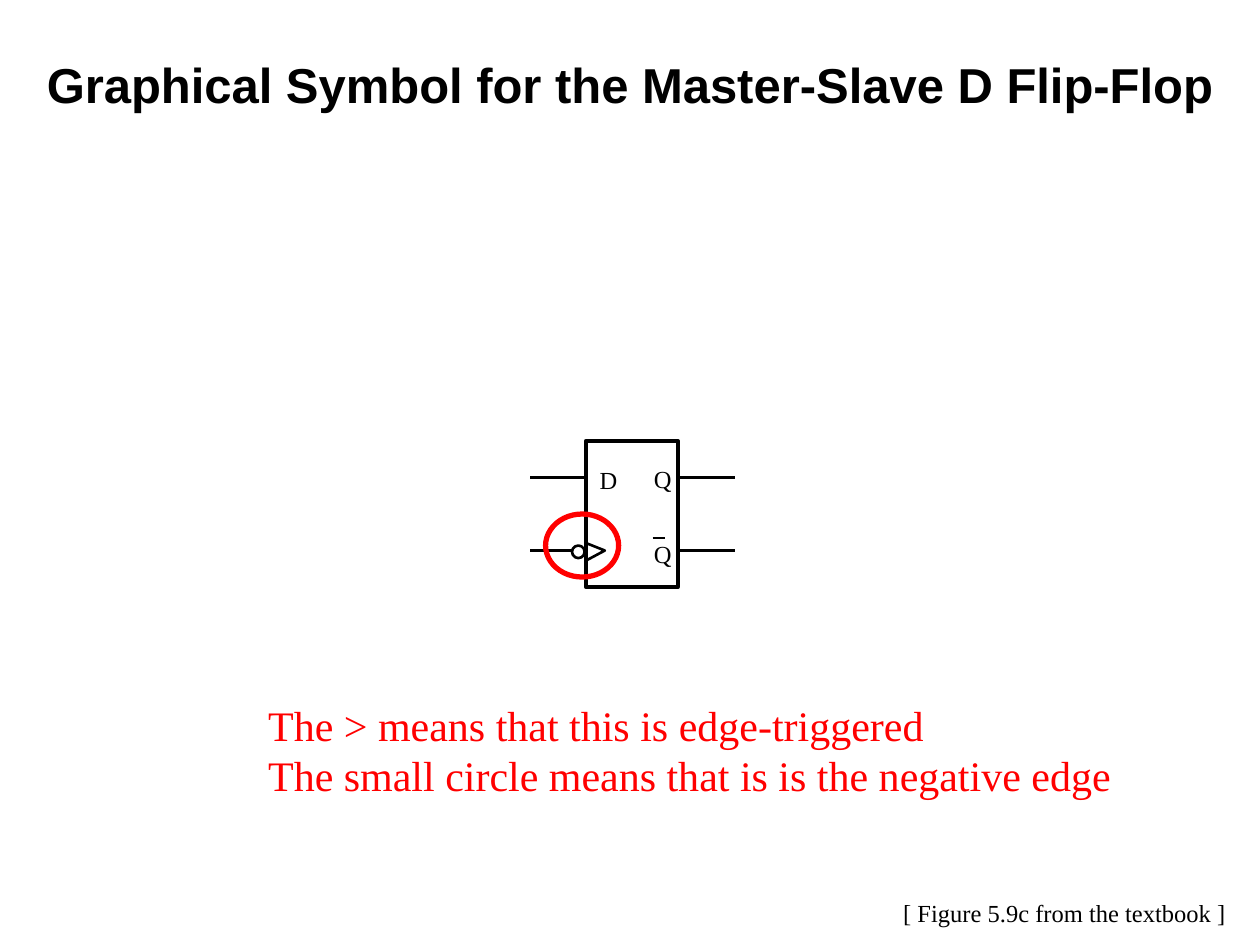
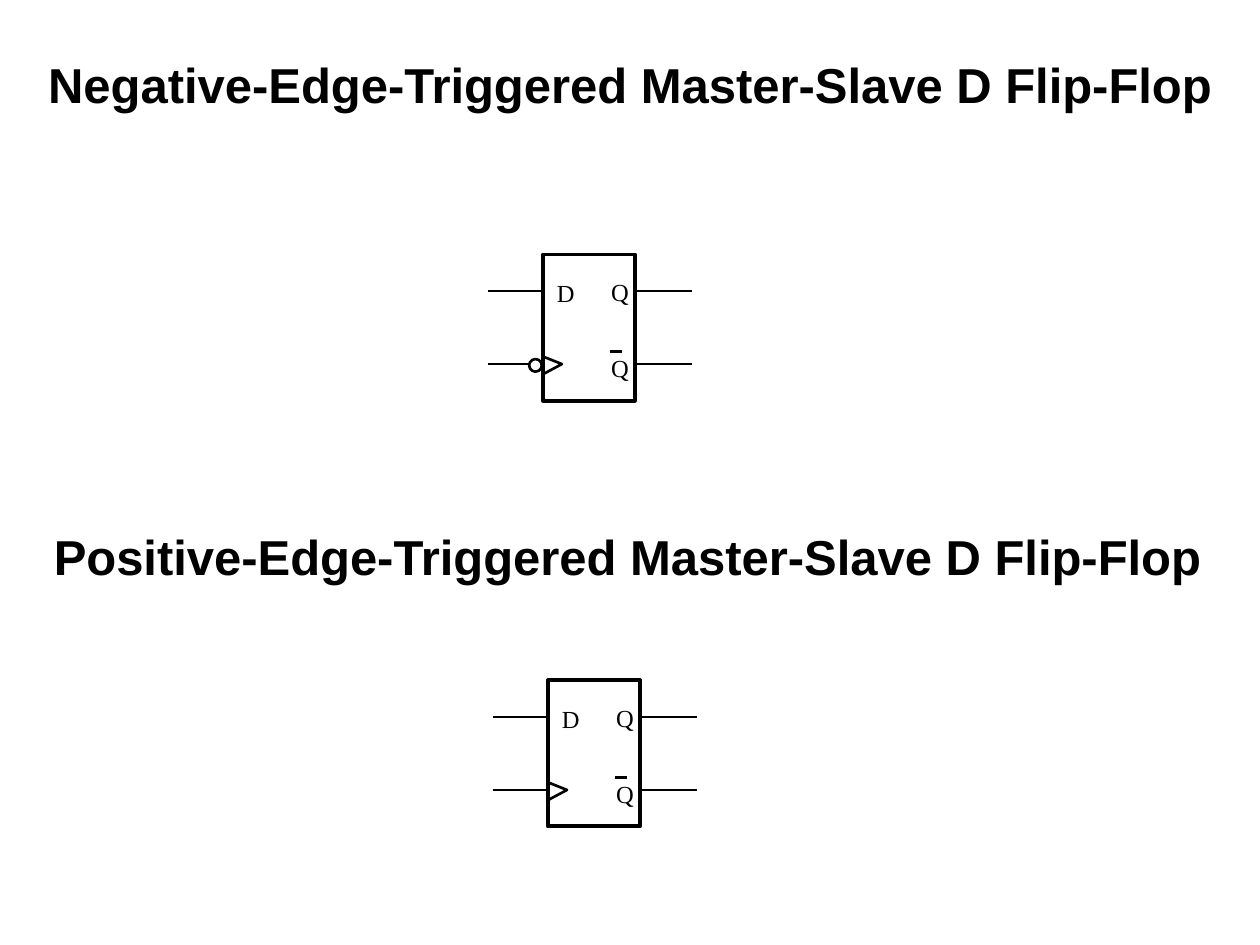
from dataclasses import dataclass

from lxml import etree
from pptx import Presentation
from pptx.dml.color import RGBColor
from pptx.enum.shapes import MSO_CONNECTOR, MSO_SHAPE
from pptx.enum.text import MSO_ANCHOR, PP_ALIGN
from pptx.oxml.ns import qn
from pptx.util import Inches, Pt

STRAIGHT = MSO_CONNECTOR.STRAIGHT
RECT = MSO_SHAPE.RECTANGLE
OVAL = MSO_SHAPE.OVAL
MIDDLE = MSO_ANCHOR.MIDDLE
TOP = MSO_ANCHOR.TOP
CENTER = PP_ALIGN.CENTER
LEFT = PP_ALIGN.LEFT


@dataclass(frozen=True)
class Theme:
    ink: RGBColor = RGBColor(0, 0, 0)
    paper: RGBColor = RGBColor(255, 255, 255)
    accent: RGBColor = RGBColor(255, 0, 0)
    title_font: str = "Arial"
    body_font: str = "Times New Roman"
    title_size: float = 28
    note_size: float = 24
    label_size: float = 14
    body_line: float = 2.25
    wire_line: float = 1.5
    bar_line: float = 1.39
    ring_line: float = 3


THEME = Theme()
BODY_W, BODY_H = 0.73, 1.16
LEAD_IN, LEAD_OUT = 0.44, 0.45
DATA_Y, CLOCK_Y = 0.29, 0.87


def add_text(slide, lines, x, y, w, h, size, color=THEME.ink, font=THEME.body_font,
             margins=(0.1, 0.05), bold=False, wrap=False, align=LEFT, anchor=TOP):
    tf = slide.shapes.add_textbox(Inches(x), Inches(y), Inches(w), Inches(h)).text_frame
    tf.word_wrap = wrap
    tf.vertical_anchor = anchor
    tf.margin_left = tf.margin_right = Inches(margins[0])
    tf.margin_top = tf.margin_bottom = Inches(margins[1])
    tf.text = "\n".join(lines)
    for p in tf.paragraphs:
        p.alignment = align
        p.font.name = font
        p.font.size = Pt(size)
        p.font.bold = bold
        p.font.color.rgb = color


def add_title(slide, text, x=0, y=0.33):
    add_text(slide, [text], x, y, 10, 0.67, THEME.title_size, font=THEME.title_font,
             bold=True, wrap=True, align=CENTER, anchor=MIDDLE)


def add_label(slide, text, x, y):
    add_text(slide, [text], x, y, 0.2, 0.23, THEME.label_size, margins=(0, 0))


def set_line(sp, width, color=THEME.ink):
    sp.line.color.rgb = color
    sp.line.width = Pt(width)


def add_outline(slide, shape, x, y, w, h, width, color=THEME.ink, fill=None):
    sp = slide.shapes.add_shape(shape, Inches(x), Inches(y), Inches(w), Inches(h))
    sp.shadow.inherit = False
    if fill is None:
        sp.fill.background()
    else:
        sp.fill.solid()
        sp.fill.fore_color.rgb = fill
    set_line(sp, width, color)


def add_wire(slide, x1, x2, y, width=THEME.wire_line):
    """Draw a horizontal line from x1 to x2."""
    wire = slide.shapes.add_connector(STRAIGHT, Inches(x1), Inches(y), Inches(x2), Inches(y))
    set_line(wire, width)
    etree.SubElement(wire._element.spPr, qn("a:effectLst"))


def add_clock_mark(slide, x, y):
    """Draw the open > that marks an edge-triggered input."""
    builder = slide.shapes.build_freeform(Inches(x), Inches(y + 0.08))
    builder.add_line_segments([(Inches(x + 0.15), Inches(y)),
                               (Inches(x), Inches(y - 0.06))], close=False)
    sp = builder.convert_to_shape()
    sp.shadow.inherit = False
    sp.fill.background()
    set_line(sp, THEME.wire_line)


def add_flip_flop(slide, x, y, negative_edge):
    """Draw a D flip-flop whose body has its top left corner at (x, y)."""
    right, data_y, clock_y = x + BODY_W, y + DATA_Y, y + CLOCK_Y
    add_outline(slide, RECT, x, y, BODY_W, BODY_H, THEME.body_line, fill=THEME.paper)
    add_label(slide, "D", x + 0.11, y + 0.19)
    add_label(slide, "Q", x + 0.54, y + 0.18)
    add_label(slide, "Q", x + 0.54, y + 0.78)
    add_wire(slide, x + 0.53, x + 0.63, y + 0.77, THEME.bar_line)
    add_clock_mark(slide, x, clock_y)
    clock_end = x
    if negative_edge:
        clock_end = x - 0.11
        add_outline(slide, OVAL, clock_end, clock_y - 0.04, 0.1, 0.1, THEME.wire_line)
    add_wire(slide, x - LEAD_IN, clock_end, clock_y)
    add_wire(slide, x - LEAD_IN, x, data_y)
    for out_y in (data_y, clock_y):
        add_wire(slide, right, right + LEAD_OUT, out_y)


def build_symbol_slide(slide):
    add_flip_flop(slide, 4.65, 3.5, negative_edge=True)
    add_text(slide, ["[ Figure 5.9c from the textbook ]"], 7.07, 7.08, 2.76, 0.34,
             THEME.label_size)
    add_title(slide, "Graphical Symbol for the Master-Slave D Flip-Flop")
    add_outline(slide, OVAL, 4.33, 4.08, 0.58, 0.5, THEME.ring_line, THEME.accent)
    add_text(slide, ["The > means that this is edge-triggered",
                     "The small circle means that is is the negative edge"],
             2.03, 5.5, 6.89, 0.9, THEME.note_size, THEME.accent)


def build_comparison_slide(slide):
    add_title(slide, "Negative-Edge-Triggered Master-Slave D Flip-Flop")
    add_title(slide, "Positive-Edge-Triggered Master-Slave D Flip-Flop", -0.02, 4.08)
    add_flip_flop(slide, 4.31, 2.02, negative_edge=True)
    add_flip_flop(slide, 4.35, 5.4, negative_edge=False)


def main():
    prs = Presentation()
    prs.slide_width, prs.slide_height = Inches(10), Inches(7.5)
    blank = prs.slide_layouts[6]
    for build in (build_symbol_slide, build_comparison_slide):
        build(prs.slides.add_slide(blank))
    prs.save("out.pptx")


if __name__ == "__main__":
    main()
